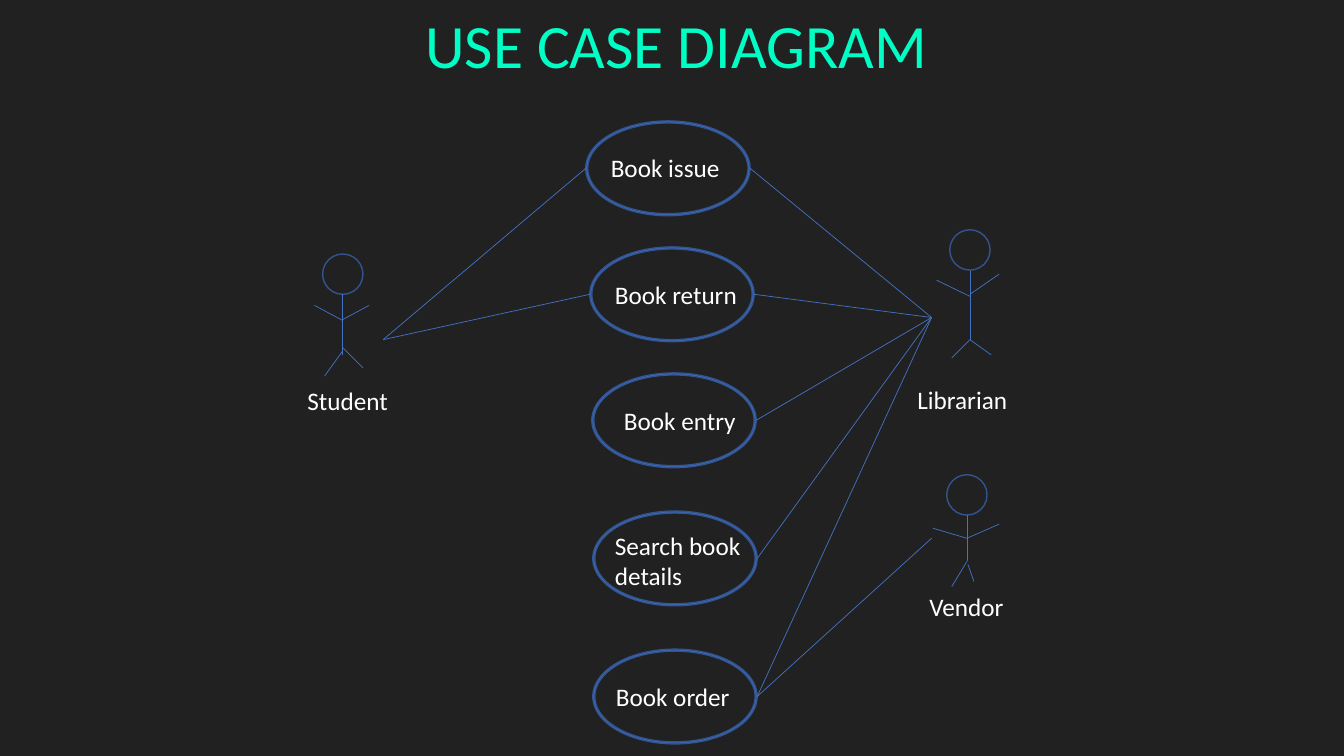
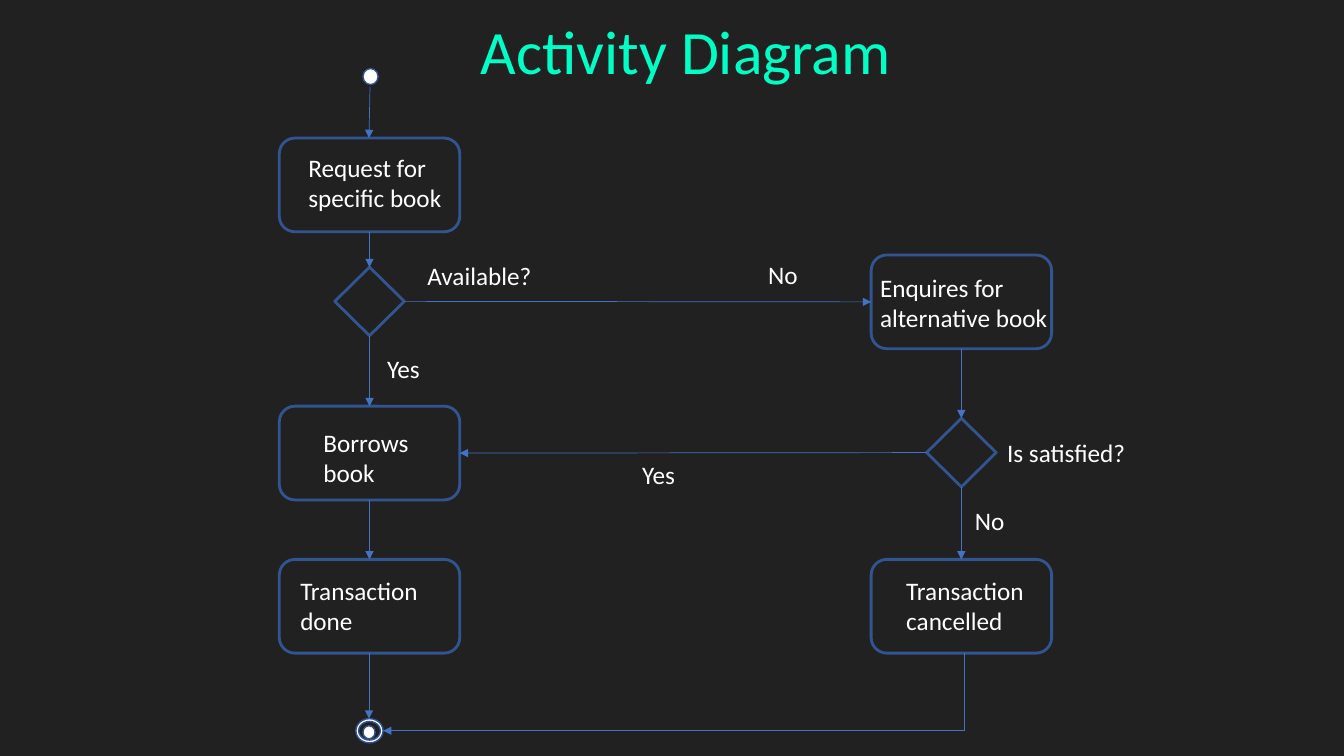
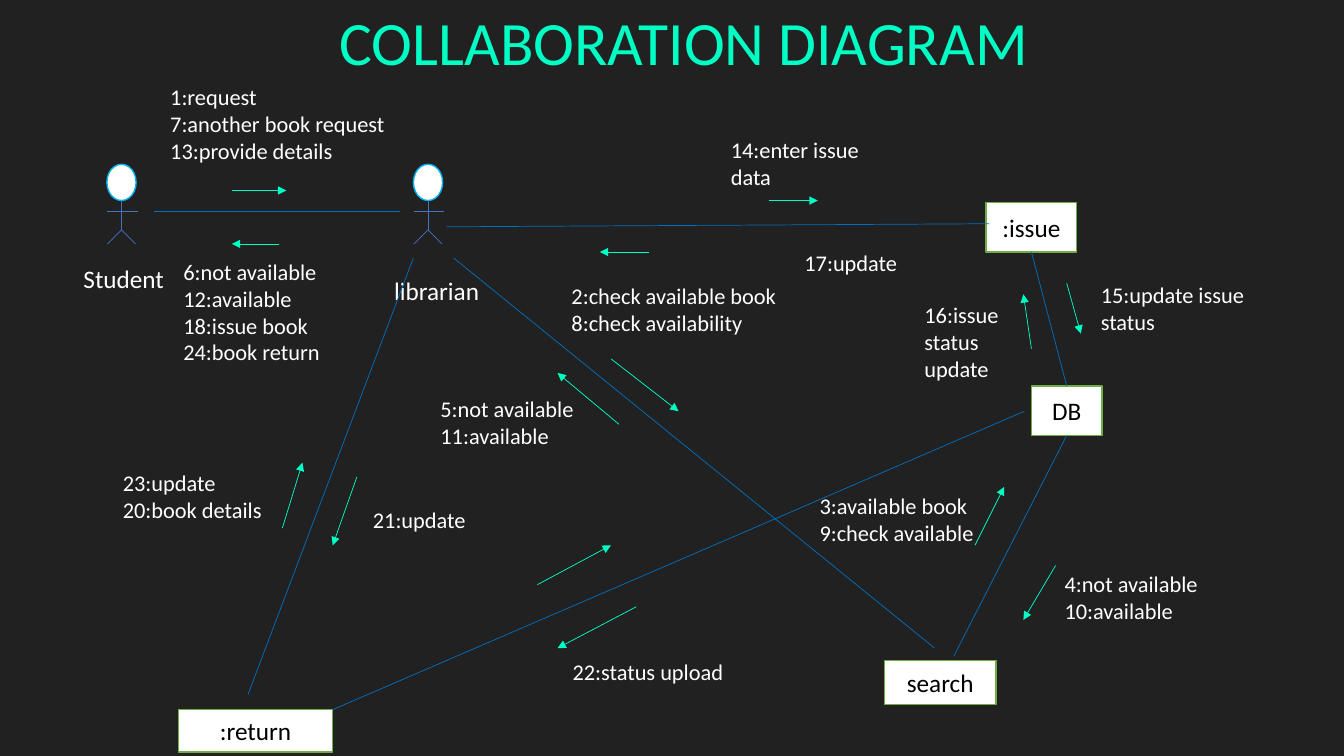
from lxml import etree
from pptx import Presentation
from pptx.dml.color import RGBColor
from pptx.enum.shapes import MSO_CONNECTOR, MSO_SHAPE
from pptx.enum.text import MSO_ANCHOR, PP_ALIGN
from pptx.oxml.ns import qn
from pptx.util import Inches, Pt

STRAIGHT = MSO_CONNECTOR.STRAIGHT
OVAL, RING = MSO_SHAPE.OVAL, MSO_SHAPE.DONUT
ROUND, RHOMB = MSO_SHAPE.ROUNDED_RECTANGLE, MSO_SHAPE.DIAMOND
RECT, NODE = MSO_SHAPE.RECTANGLE, MSO_SHAPE.FLOWCHART_CONNECTOR
MIDDLE, CENTER = MSO_ANCHOR.MIDDLE, PP_ALIGN.CENTER
TOP, LEFT, BOTTOM, RIGHT = range(4)

FONT = "Calibri"
DARK, WHITE, BLACK, MINT = "212121", "FFFFFF", "000000", "00FFC5"
BLUE, NAVY, SKY, SEA, GREEN = "4472C4", "325491", "00B0F0", "0070C0", "70AD47"


def paint(form, code):
    form.rgb = RGBColor.from_string(code)


def style(frame, lines, size, code):
    frame.text = "\n".join(lines)
    frame.word_wrap = True
    for par in frame.paragraphs:
        par.font.name = FONT
        par.font.size = Pt(size)
        paint(par.font.color, code)


def write(slide, box, *lines, size=18, code=WHITE):
    area = slide.shapes.add_textbox(*map(Inches, box))
    style(area.text_frame, lines, size, code)


def draw(slide, kind, box, fill=None, edge=NAVY, weight=1):
    shape = slide.shapes.add_shape(kind, *map(Inches, box))
    shape.shadow.inherit = False
    if fill:
        shape.fill.solid()
        paint(shape.fill.fore_color, fill)
    else:
        shape.fill.background()
    paint(shape.line.color, edge)
    shape.line.width = Pt(weight)
    return shape


def wire(slide, start, end, code=BLUE, arrow=False):
    line = slide.shapes.add_connector(STRAIGHT, *map(Inches, (*start, *end)))
    paint(line.line.color, code)
    line.line.width = Pt(0.5)
    props = line.element.spPr
    if arrow:
        etree.SubElement(props.find(qn("a:ln")), qn("a:tailEnd"), type="triangle")
    etree.SubElement(props, qn("a:effectLst"))
    return line


def join(slide, first, out, last, into, code=BLUE, arrow=True):
    line = wire(slide, (0, 0), (1, 1), code, arrow)
    line.begin_connect(first, out)
    line.end_connect(last, into)


def page(deck, title, box):
    slide = deck.slides.add_slide(deck.slide_layouts[6])
    slide.background.fill.solid()
    paint(slide.background.fill.fore_color, DARK)
    write(slide, box, title, size=44, code=MINT)
    return slide


def actor(slide, box, limbs, name, spot, kind=OVAL, fill=None, edge=NAVY):
    left, top, width, _ = box
    mid = left + width / 2
    draw(slide, kind, box, fill, edge)
    for x1, y1, x2, y2 in limbs:
        wire(slide, (mid + x1, top + y1), (mid + x2, top + y2))
    dx, dy, wide = spot
    write(slide, (left + dx, top + dy, wide, 0.4), name)


def case(slide, box, label, spot):
    left, top, width, height = box
    ring = draw(slide, RING, box, BLUE)
    ring.adjustments[0] = 0.021
    dx, dy, wide, high = spot
    write(slide, (left + dx, top + dy, wide, high), label)
    mid = top + height / 2
    return (left, mid), (left + width, mid)


def step(slide, box, label, spot):
    shape = draw(slide, ROUND, box, weight=2)
    dx, dy, wide = spot
    write(slide, (box[0] + dx, box[1] + dy, wide, 0.71), label)
    return shape


def part(slide, box, label):
    shape = draw(slide, RECT, box, WHITE, GREEN)
    style(shape.text_frame, [label], 18, BLACK)
    shape.text_frame.vertical_anchor = MIDDLE
    shape.text_frame.paragraphs[0].alignment = CENTER
    return shape


def use_case(deck):
    slide = page(deck, "USE CASE DIAGRAM", (4.12, 0.02, 5.2, 0.84))
    cases = [
        (5.81, 1.2, "Book issue", (0.15, 0.26, 1.34, 0.4)),
        (5.85, 2.45, "Book return", (0.15, 0.27, 1.49, 0.4)),
        (5.87, 3.7, "Book entry", (0.22, 0.27, 1.32, 0.4)),
        (5.88, 5.07, "Search book details", (0.12, 0.14, 1.71, 0.71)),
        (5.88, 6.44, "Book order", (0.13, 0.27, 1.44, 0.4)),
    ]
    ends = [case(slide, (x, y, 1.63, 0.94), label, spot)
            for x, y, label, spot in cases]
    for left, _ in ends[:2]:
        wire(slide, (3.8, 3.37), left)
    for _, right in ends:
        wire(slide, (9.24, 3.15), right)
    wire(slide, (9.24, 5.34), ends[-1][1])

    actors = [
        (3.2, 2.52, "Student", (-0.25, 1.25, 1.35),
         [(0, 0.4, 0, 1), (0, 0.66, -0.28, 0.51), (0, 0.65, 0.26, 0.51),
          (0, 0.96, -0.18, 1.21), (0, 0.93, 0.2, 1.13)]),
        (9.42, 2.28, "Librarian", (-0.42, 1.48, 1.14),
         [(0, 0.41, 0, 1.09), (0, 0.66, -0.33, 0.5), (0, 0.64, 0.29, 0.44),
          (0, 1.09, -0.18, 1.27), (0, 1.09, 0.21, 1.24)]),
        (9.39, 4.71, "Vendor", (-0.27, 1.11, 1.14),
         [(0, 0.4, 0, 0.86), (0, 0.63, -0.34, 0.53), (0, 0.63, 0.32, 0.49),
          (0, 0.86, -0.15, 1.11), (0.01, 0.89, 0.07, 1.06)]),
    ]
    for x, y, name, spot, limbs in actors:
        actor(slide, (x, y, 0.4, 0.4), limbs, name, spot)


def flow(deck):
    slide = page(deck, "Activity Diagram", (4.67, 0.08, 4.42, 0.84))
    near, far = 2.77, 8.64
    steps = [
        (near, 1.37, "Request for specific book", (0.19, 0.09, 1.6)),
        (near, 4.03, "Borrows book", (0.34, 0.16, 1.2)),
        (near, 5.55, "Transaction done", (0.11, 0.11, 1.53)),
        (far, 2.53, "Enquires for alternative book", (-0.01, 0.12, 1.94)),
        (far, 5.55, "Transaction cancelled", (0.25, 0.11, 1.6)),
    ]
    ask, borrow, done, enquire, cancel = [
        step(slide, (x, y, 1.79, 0.93), label, spot)
        for x, y, label, spot in steps]
    stock, happy = [
        draw(slide, RHOMB, (x + 0.55, y, 0.69, 0.68), weight=2)
        for x, y in ((near, 2.65), (far, 4.15))]
    links = [
        (ask, BOTTOM, stock, TOP),
        (stock, BOTTOM, borrow, TOP),
        (borrow, BOTTOM, done, TOP),
        (stock, RIGHT, enquire, LEFT),
        (enquire, BOTTOM, happy, TOP),
        (happy, BOTTOM, cancel, TOP),
        (happy, LEFT, borrow, RIGHT),
    ]
    for link in links:
        join(slide, *link)

    draw(slide, OVAL, (3.6, 0.68, 0.15, 0.16), WHITE)
    wire(slide, (3.67, 0.86), (3.66, 1.37), arrow=True)
    draw(slide, OVAL, (3.6, 7.2, 0.12, 0.13), WHITE)
    ring = draw(slide, RING, (3.53, 7.13, 0.27, 0.24), WHITE)
    ring.adjustments[0] = 0.115
    wire(slide, (3.66, 6.48), (3.66, 7.13), arrow=True)
    wire(slide, (9.56, 6.48), (9.56, 7.25))
    wire(slide, (9.56, 7.25), (3.8, 7.25), arrow=True)

    notes = [
        (4.14, 2.53, 1.33, "Available?"),
        (7.52, 2.52, 0.7, "No"),
        (3.74, 3.46, 0.69, "Yes"),
        (6.27, 4.51, 0.73, "Yes"),
        (9.57, 4.96, 0.73, "No"),
        (9.89, 4.29, 1.49, "Is satisfied?"),
    ]
    for x, y, wide, label in notes:
        write(slide, (x, y, wide, 0.4), label)


def collab(deck):
    slide = page(deck, "COLLABORATION DIAGRAM", (3.27, -0.01, 7.44, 0.84))
    limbs = [(0, 0.36, 0, 0.65), (0, 0.65, -0.14, 0.79),
             (0, 0.65, 0.14, 0.79), (-0.14, 0.47, 0.16, 0.47)]
    for x, name, spot in ((1.06, "Student", (-0.33, 0.93, 1.04)),
                          (4.1, "librarian", (-0.29, 1.05, 1.19))):
        actor(slide, (x, 1.63, 0.29, 0.36), limbs, name, spot, NODE, WHITE, SKY)

    issue = part(slide, (9.78, 2.01, 0.9, 0.49), ":issue")
    store = part(slide, (10.23, 3.83, 0.7, 0.49), "DB")
    part(slide, (8.77, 6.55, 1.11, 0.44), "search")
    part(slide, (1.77, 7.04, 1.53, 0.42), ":return")
    join(slide, store, TOP, issue, BOTTOM, SEA, False)
    wire(slide, (10.58, 4.32), (9.46, 6.51), SEA).begin_connect(store, BOTTOM)
    paths = [
        (1.53, 2.1, 3.97, 2.1), (4.43, 2.25, 9.81, 2.22),
        (2.46, 6.89, 4.1, 2.56), (9.27, 6.43, 4.5, 2.56),
        (10.16, 4.08, 3.3, 7.04),
    ]
    for x1, y1, x2, y2 in paths:
        wire(slide, (x1, y1), (x2, y2), SEA)

    arrows = [
        (2.3, 1.89, 2.84, 1.89), (2.77, 2.42, 2.3, 2.42),
        (7.63, 1.99, 8.11, 1.99), (6.44, 2.5, 5.95, 2.5),
        (3.54, 4.73, 3.3, 5.41), (2.8, 5.24, 3, 4.59),
        (5.33, 5.8, 6.06, 5.41), (6.31, 6.02, 5.53, 6.43),
        (6.06, 3.56, 6.73, 4.08), (6.14, 4.21, 5.53, 3.7),
        (9.67, 5.41, 9.96, 4.83), (10.47, 5.61, 10.15, 6.15),
        (10.58, 2.81, 10.72, 3.31), (10.23, 3.46, 10.15, 2.92),
    ]
    for x1, y1, x2, y2 in arrows:
        wire(slide, (x1, y1), (x2, y2), MINT, True)

    notes = [
        ((1.59, 0.78, 2.44, 0.91),
         "1:request", "7:another book request", "13:provide details"),
        ((1.72, 2.51, 1.83, 1.18),
         "6:not available", "12:available", "18:issue book", "24:book return"),
        ((7.15, 1.3, 1.82, 0.64), "14:enter issue data"),
        ((10.82, 2.74, 2.03, 0.64), "15:update issue status"),
        ((9.07, 2.94, 1.38, 0.91), "16:issue status update"),
        ((5.57, 2.75, 2.3, 0.64),
         "2:check available book", "8:check availability"),
        ((4.27, 3.87, 1.86, 0.64), "5:not available", "11:available"),
        ((10.46, 5.61, 1.54, 0.64), "4:not available", "10:available"),
        ((8.03, 4.83, 1.86, 0.64), "3:available book", "9:check available"),
        ((1.12, 4.61, 1.65, 0.64), "23:update", "20:book details"),
        ((3.6, 4.97, 1.59, 0.37), "21:update"),
        ((7.88, 2.42, 1.31, 0.37), "17:update"),
        ((5.58, 6.48, 1.99, 0.37), "22:status upload"),
    ]
    for box, *lines in notes:
        write(slide, box, *lines, size=16)


def main():
    deck = Presentation()
    deck.slide_width, deck.slide_height = Inches(13.33), Inches(7.5)
    for build in (use_case, flow, collab):
        build(deck)
    deck.save("out.pptx")


if __name__ == "__main__":
    main()
